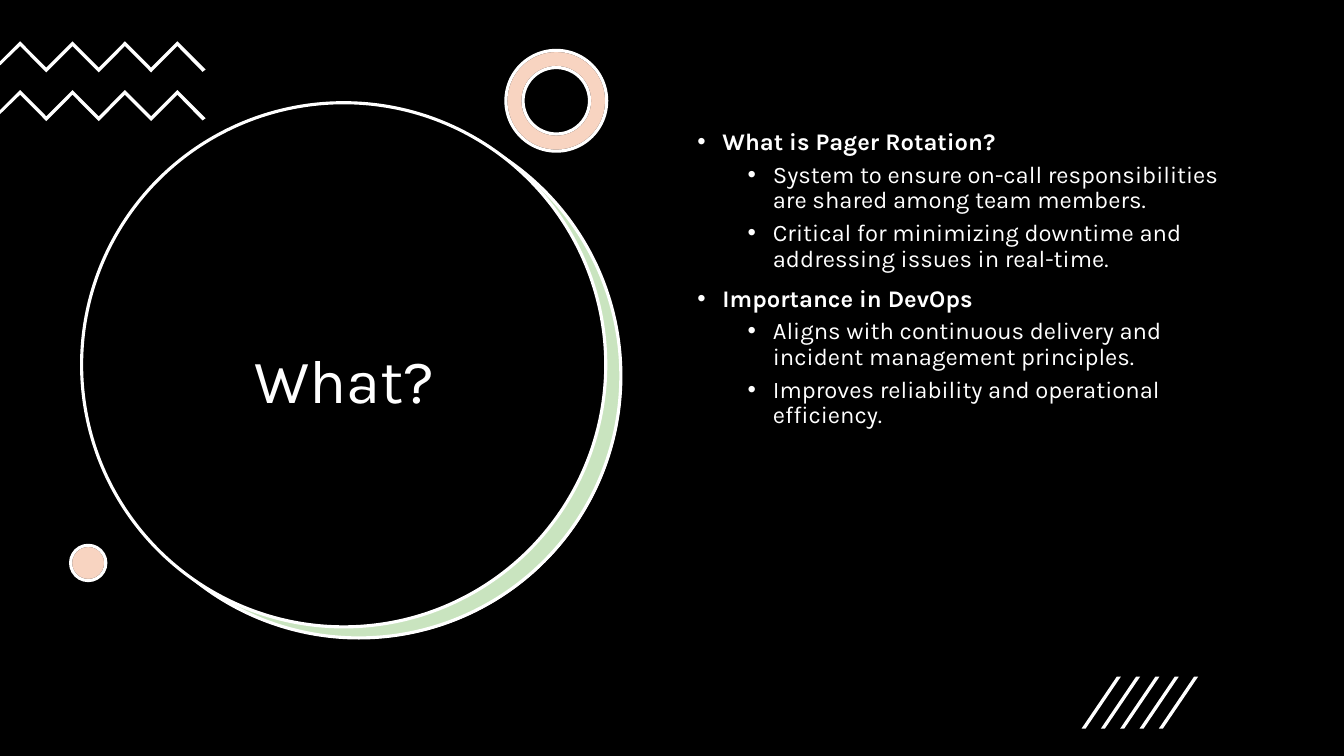
from lxml.etree import SubElement
from pptx import Presentation
from pptx.dml.color import RGBColor
from pptx.enum.shapes import MSO_SHAPE
from pptx.enum.text import MSO_ANCHOR, PP_ALIGN
from pptx.oxml.ns import qn
from pptx.util import Pt

BLACK = RGBColor(0x00, 0x00, 0x00)
WHITE = RGBColor(0xFF, 0xFF, 0xFF)
GREEN = RGBColor(0x4E, 0xA7, 0x2E)
ORANGE = RGBColor(0xE9, 0x71, 0x32)
FONT = "Karla"

TOPICS = [
    ("What is Pager Rotation?", [
        "System to ensure on-call responsibilities are shared among team members.",
        "Critical for minimizing downtime and addressing issues in real-time.",
    ]),
    ("Importance in DevOps", [
        "Aligns with continuous delivery and incident management principles.",
        "Improves reliability and operational efficiency.",
    ]),
]


def paint(shape, fill, line=None, opacity=100):
    """Give a shape a flat fill, an optional outline and no shadow."""
    shape.shadow.inherit = False
    shape.fill.solid()
    shape.fill.fore_color.rgb = fill
    if opacity < 100:
        color = shape.fill._xPr.find(qn("a:solidFill"))[0]
        SubElement(color, qn("a:alpha")).set("val", str(opacity * 1000))
    if line is None:
        shape.line.fill.background()
    else:
        shape.line.color.rgb = line
        shape.line.width = Pt(2.25)


def add_round(page, left, top, size, fill, line=None, opacity=100, kind=MSO_SHAPE.OVAL):
    shape = page.shapes.add_shape(kind, Pt(left), Pt(top), Pt(size), Pt(size))
    if kind == MSO_SHAPE.DONUT:
        shape.adjustments[0] = 0.17
    paint(shape, fill, line, opacity)


def add_tinted(page, left, top, size, kind):
    """A pale orange shape: a tint laid over a white base."""
    add_round(page, left, top, size, WHITE, BLACK, kind=kind)
    add_round(page, left, top, size, ORANGE, WHITE, 30, kind)


def add_outline(shapes, points):
    corners = [(Pt(x), Pt(y)) for x, y in points]
    builder = shapes.build_freeform(*corners[0], scale=1.0)
    builder.add_line_segments(corners[1:], close=True)
    paint(builder.convert_to_shape(), WHITE)


def add_text_frame(page, left, top, width, height):
    frame = page.shapes.add_textbox(Pt(left), Pt(top), Pt(width), Pt(height)).text_frame
    frame.word_wrap = True
    return frame


def add_run(para, text, size, bold=False):
    para.line_spacing = 0.9
    span = para.add_run()
    span.text = text
    span.font.name = FONT
    span.font.size = Pt(size)
    span.font.bold = bold
    span.font.color.rgb = WHITE


def add_title_disc(page, left, top, size):
    add_round(page, left + 11.5, top + 8.6, size, WHITE)
    add_round(page, left + 10.8, top + 7.9, size, GREEN, WHITE, 30)
    add_round(page, left, top, size, BLACK, WHITE)
    frame = add_text_frame(page, left + 28.8, top + 74.2, 317.5, 253.4)
    frame.vertical_anchor = MSO_ANCHOR.MIDDLE
    para = frame.paragraphs[0]
    para.alignment = PP_ALIGN.CENTER
    add_run(para, "What?", 44)


def add_zigzags(page, left, top, rows=2, row_gap=34.8):
    shapes = page.shapes.add_group_shape().shapes
    depth, thickness = 18.8, 3.4
    teeth = [(left + 14.4 + 18.72 * i, depth * (i % 2)) for i in range(7)]
    for row in range(rows):
        y = top + row * row_gap
        upper = [(x, y + drop) for x, drop in teeth]
        lower = [(x, y + drop + thickness) for x, drop in reversed(teeth)]
        right_end = [(left + 146.9, y + 20.2), (left + 144.7, y + 21.8)]
        left_end = [(left, y + 17.3), (left, y + 14.4)]
        add_outline(shapes, upper + right_end + lower + left_end)


def add_slashes(page, left, top, count=5, gap=13.8):
    shapes = page.shapes.add_group_shape().shapes
    thickness, slant, height = 2.9, 25.1, 37
    for i in range(count):
        x = left + i * gap
        add_outline(shapes, [
            (x + thickness, top + height), (x, top + height),
            (x + slant, top), (x + slant + thickness, top),
        ])


def add_bullet(para, text, level):
    para.level = level
    para.space_before = Pt(5 if level else 10)
    props = para._p.get_or_add_pPr()
    props.set("marL", str(Pt(18 + 36 * level)))
    props.set("indent", str(Pt(-18)))
    SubElement(props, qn("a:buFont")).set("typeface", "Arial")
    SubElement(props, qn("a:buChar")).set("char", "•")
    add_run(para, text, 17, bold=level == 0)


def add_topics(page, left, top, width, height):
    frame = add_text_frame(page, left, top, width, height)
    lines = []
    for heading, details in TOPICS:
        lines += [(heading, 0)] + [(detail, 1) for detail in details]
    for i, (text, level) in enumerate(lines):
        para = frame.add_paragraph() if i else frame.paragraphs[0]
        add_bullet(para, text, level)


def main():
    deck = Presentation()
    deck.slide_width, deck.slide_height = Pt(960), Pt(540)
    page = deck.slides.add_slide(deck.slide_layouts[6])
    page.background.fill.solid()
    page.background.fill.fore_color.rgb = BLACK

    add_title_disc(page, 58.3, 73.4, 374.4)
    add_zigzags(page, 0, 29.5)
    add_tinted(page, 361.4, 36, 72, MSO_SHAPE.DONUT)
    add_tinted(page, 50.4, 389.5, 25.2, MSO_SHAPE.OVAL)
    add_topics(page, 491, 89.3, 411.1, 342.7)
    add_slashes(page, 772.6, 483.4)
    deck.save("out.pptx")


if __name__ == "__main__":
    main()
